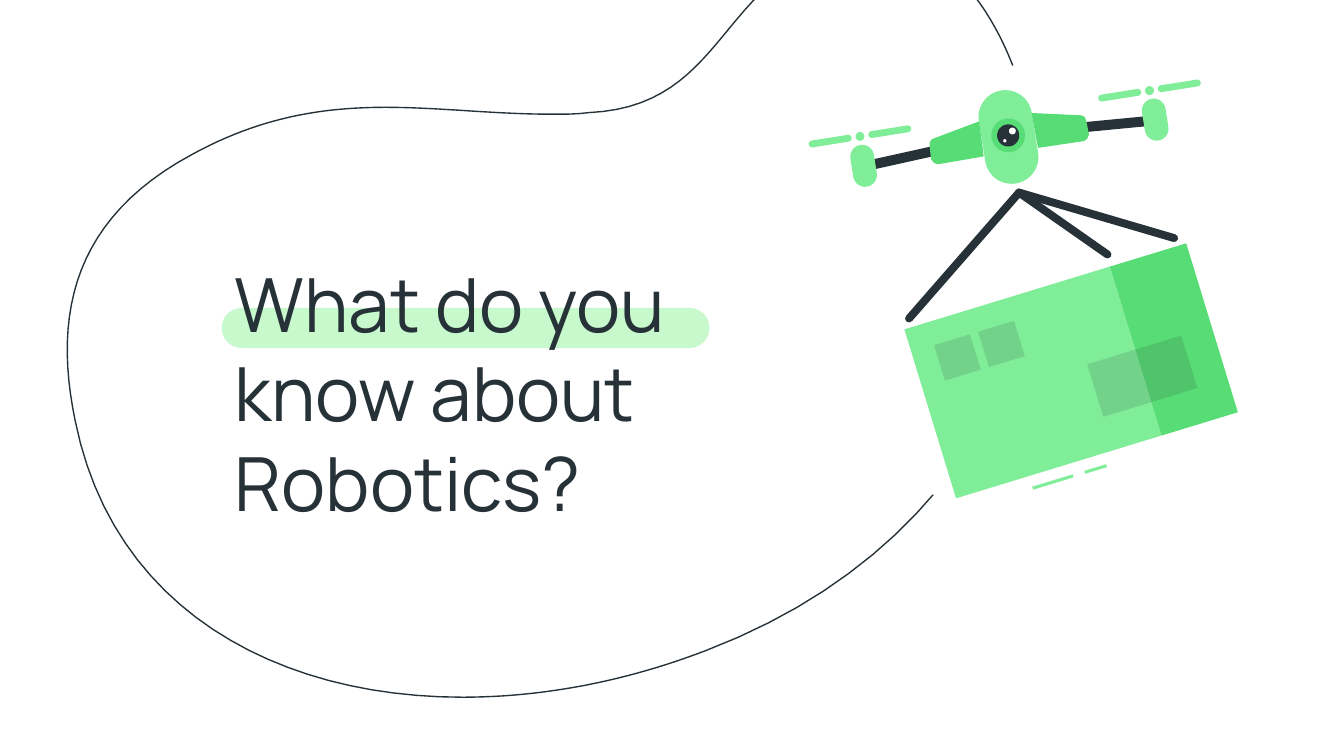
from math import cos, radians, sin

from pptx import Presentation
from pptx.dml.color import RGBColor as Rgb
from pptx.enum.shapes import MSO_CONNECTOR as Link, MSO_SHAPE as Kind
from pptx.oxml import parse_xml
from pptx.oxml.ns import nsdecls, qn
from pptx.util import Cm, Pt

INK, WHITE = "263238", "FFFFFF"
LIGHT, GREEN, PALE, SHADE = "80ED99", "58DD76", "C7F9CC", "1A2327"

# Loop outline: a start point, then Bezier curves of three points each
START = (15.54, 0)
CURVES = [
    [(15.16, 0), (14.73, 0.1), (14.27, 0.33)],
    [(12.57, 1.22), (12.45, 3.15), (10.13, 3.25)],
    [(9.91, 3.28), (9.68, 3.28), (9.45, 3.28)],
    [(8.33, 3.28), (7.32, 3.15), (6.3, 3.15)],
    [(5.11, 3.15), (3.94, 3.33), (2.64, 4.04)],
    [(0.43, 5.23), (0, 7.01), (0.43, 9.07)],
    [(1.14, 12.62), (4.22, 14.3), (7.75, 14.3)],
    [(9.27, 14.3), (10.85, 14), (12.37, 13.41)],
    [(17.22, 11.56), (19.46, 7.26), (18.36, 3)],
    [(18.01, 1.7), (17.09, 0), START],
]

# Drone shoulder, right side, measured from the drone's centre
WING = [(0.5, -0.38), (0.52, 0.29), (1.39, 0.3), (1.46, 0.27),
        (1.51, 0.19), (1.5, -0.07), (1.48, -0.15), (1.42, -0.19)]


def hue(code):
    return Rgb.from_string(code)


def paint(shape, code, alpha=None):
    shape.shadow.inherit = False
    shape.line.fill.background()
    shape.fill.solid()
    shape.fill.fore_color.rgb = hue(code)
    if alpha:
        tint = next(shape._element.spPr.iter(qn("a:srgbClr")))
        tint.append(parse_xml(
            f'<a:alpha {nsdecls("a")} val="{alpha * 1000}"/>'))


def block(slide, kind, box, code, turn=0, alpha=None):
    shape = slide.shapes.add_shape(kind, *map(Cm, box))
    shape.rotation = turn
    if kind == Kind.ROUNDED_RECTANGLE:
        shape.adjustments[0] = 0.5
    paint(shape, code, alpha)


def outline(slide, points):
    dots = [(Cm(x), Cm(y)) for x, y in points]
    form = slide.shapes.build_freeform(*dots[0])
    form.add_line_segments(dots[1:], close=True)
    return form.convert_to_shape()


def spin(hub, x, y, turn):
    """Turn an offset and add it to the hub."""
    c, s = cos(radians(turn)), sin(radians(turn))
    return hub[0] + x * c - y * s, hub[1] + x * s + y * c


def part(slide, kind, hub, tilt, spot, size, code, turn=0, alpha=None):
    """Place a block by its centre in a tilted frame around the hub."""
    x, y = spin(hub, *spot, tilt)
    w, h = size
    block(slide, kind, (x - w / 2, y - h / 2, w, h), code, tilt + turn, alpha)


def bezier(a, b, c, d, steps=24):
    for i in range(1, steps + 1):
        t = i / steps
        u = 1 - t
        yield tuple(u**3 * p + 3 * u * u * t * q + 3 * u * t * t * r + t**3 * s
                    for p, q, r, s in zip(a, b, c, d))


def loop(slide, left, top):
    points = [START]
    for curve in CURVES:
        points += list(bezier(points[-1], *curve))
    shape = outline(slide, [(left + x, top + y) for x, y in points])
    shape.shadow.inherit = False
    shape.fill.background()
    shape.line.color.rgb = hue(INK)
    shape.line.width = Pt(0.75)


def title(slide, left, top, width, height):
    # Marker stroke behind the first line
    block(slide, Kind.ROUNDED_RECTANGLE, (left, top + 1.2, 9.22, 0.76), PALE)
    frame = slide.shapes.add_textbox(
        *map(Cm, (left, top, width, height))).text_frame
    frame.word_wrap = True
    frame.margin_left = frame.margin_right = Cm(0.25)
    frame.margin_top = frame.margin_bottom = Cm(0.25)
    para = frame.paragraphs[0]
    para.text = "What do you know about Robotics?"
    para.font.name = "Manrope"
    para.font.size = Pt(40)
    para.font.color.rgb = hue(INK)


def parcel(slide, left, top, width, height, tilt=-17):
    hub = (left + width / 2, top + height / 2)
    seam = 4.06
    rows = [  # x, y, width, height, colour, opacity
        (1.44, 3.55, 0.8, 0.06, LIGHT, None),  # motion dashes
        (2.47, 3.55, 0.43, 0.06, LIGHT, None),
        (0, 0, seam, height, LIGHT, None),  # faces
        (seam, 0, width - seam, height, GREEN, None),
        (3.11, 1.64, 1.86, 1.04, SHADE, 13),  # labels
        (0.45, 0.45, 0.71, 0.7, SHADE, 13),
        (1.32, 0.45, 0.71, 0.7, SHADE, 13),
    ]
    for x, y, w, h, code, alpha in rows:
        spot = (x + (w - width) / 2, y + (h - height) / 2)
        part(slide, Kind.RECTANGLE, hub, tilt, spot, (w, h), code, alpha=alpha)


def drone(slide, hub, tilt=-9):
    def add(kind, x, y, w, h, code, turn=0):
        part(slide, kind, hub, tilt, (x, y), (w, h), code, turn)

    pill, disc = Kind.ROUNDED_RECTANGLE, Kind.OVAL
    # Body and camera
    add(pill, 0, 0, 1.01, 1.78, LIGHT)
    add(disc, 0, -0.03, 0.64, 0.64, GREEN)
    add(disc, 0, -0.03, 0.42, 0.42, INK)
    add(disc, 0.09, -0.1, 0.13, 0.13, WHITE)
    add(disc, -0.08, 0.06, 0.06, 0.06, WHITE)
    # Mirrored arms and rotors
    for side in (1, -1):
        add(Kind.RECTANGLE, side * 2.08, 0.08, 1.38, 0.19, INK, side * 3.5)
        add(pill, side * 2.79, 0.11, 0.45, 0.8, LIGHT)
        wing = outline(slide, [spin(hub, side * x, y, tilt) for x, y in WING])
        paint(wing, GREEN)
        add(disc, side * 2.77, -0.45, 0.17, 0.17, LIGHT)
        for gap in (-0.57, 0.57):
            add(pill, side * 2.77 + gap, -0.45, 0.82, 0.13, LIGHT)


def cords(slide, left, top):
    for x, y in [(5.01, 0.86), (3.75, 1.17), (0, 2.38)]:
        cord = slide.shapes.add_connector(
            Link.STRAIGHT, Cm(left + 2.08), Cm(top), Cm(left + x), Cm(top + y))
        cord.line.color.rgb = hue(INK)
        cord.line.width = Pt(4.25)
        props = cord._element.spPr
        props.find(qn("a:ln")).set("cap", "rnd")
        props.append(parse_xml(f'<a:effectLst {nsdecls("a")}/>'))


def main():
    deck = Presentation()
    deck.slide_width, deck.slide_height = Cm(25.4), Cm(14.29)
    slide = deck.slides.add_slide(deck.slide_layouts[6])
    loop(slide, 0.99, -1.12)
    title(slide, 4.19, 4.62, 10.74, 2)
    # White disc that opens the loop behind the drone
    block(slide, Kind.OVAL, (15.44, 1.19, 8.74, 8.74), WHITE)
    parcel(slide, 17.46, 5.34, 5.57, 3.34)
    drone(slide, (19.06, 2.59))
    cords(slide, 17.18, 3.64)
    deck.save("out.pptx")


if __name__ == "__main__":
    main()
